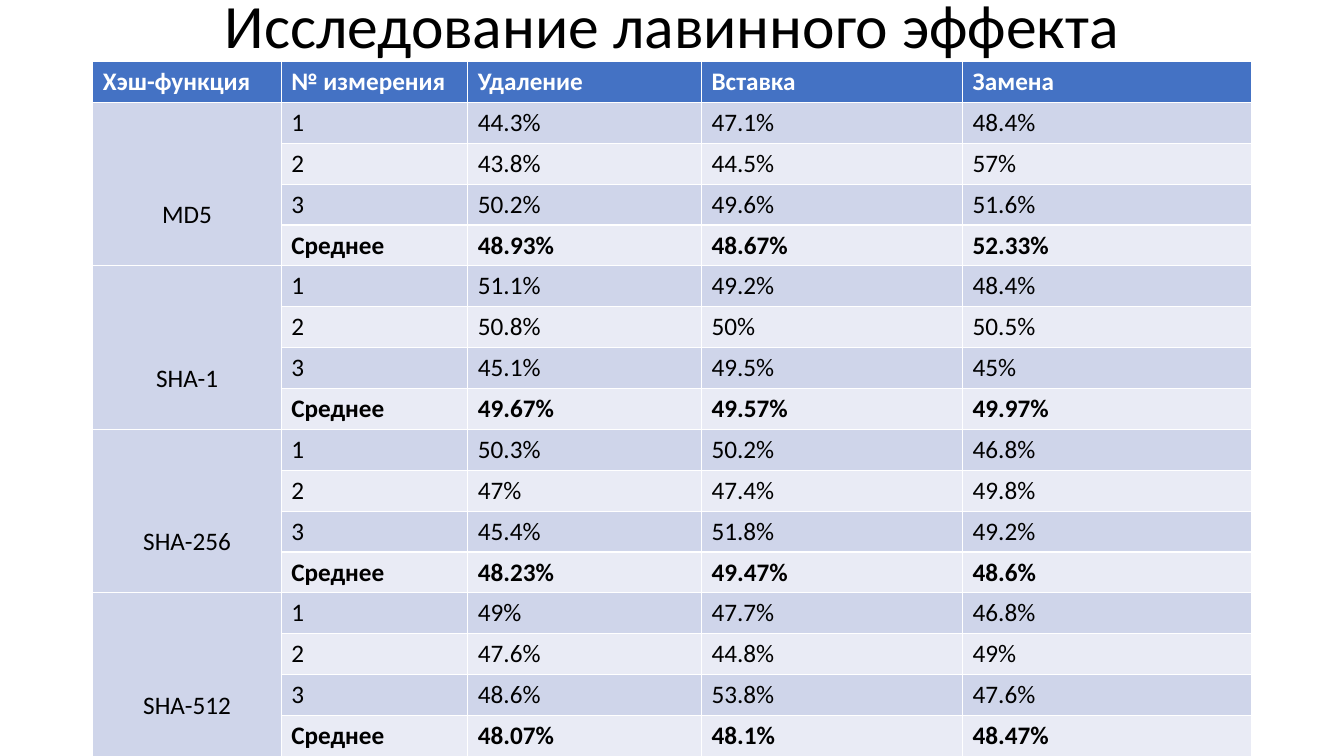
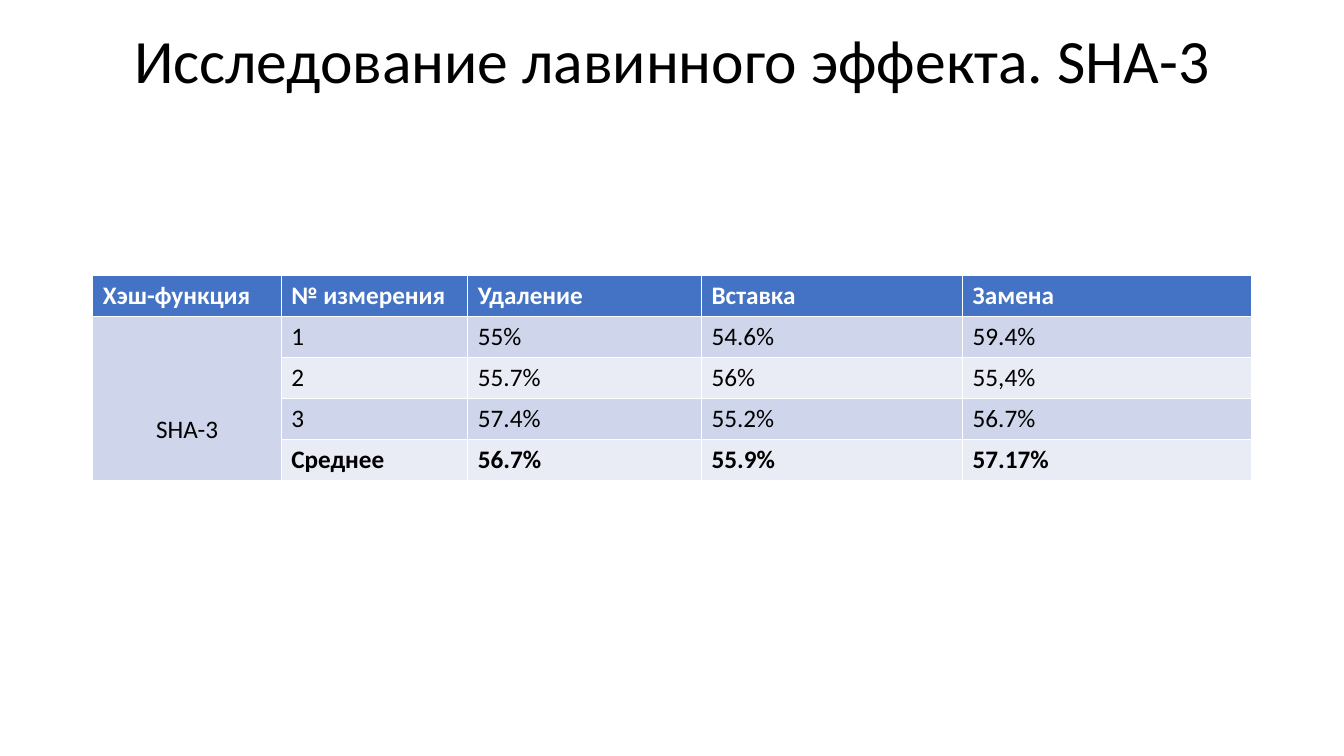
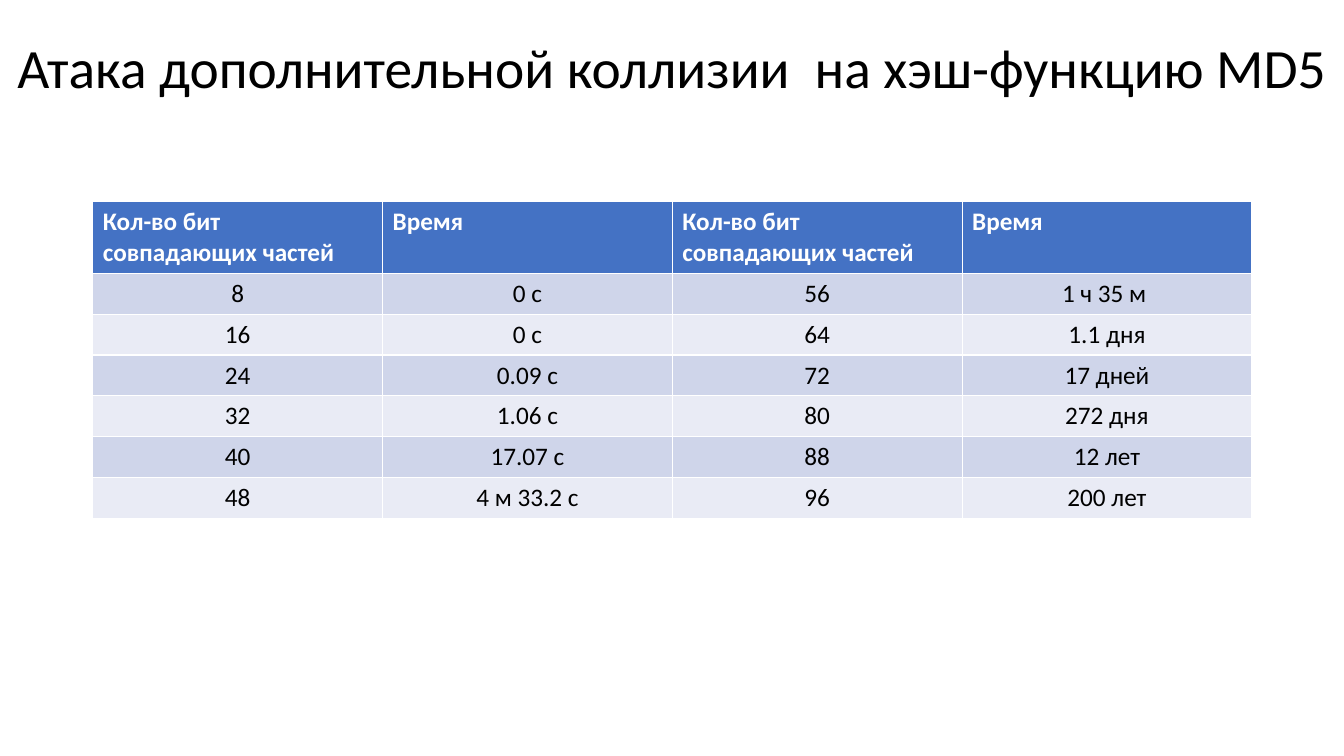
from dataclasses import dataclass

from pptx import Presentation
from pptx.dml.color import RGBColor
from pptx.enum.text import MSO_ANCHOR, MSO_AUTO_SIZE, PP_ALIGN
from pptx.util import Cm, Pt


@dataclass(frozen=True)
class Theme:
    font: str = "Calibri"
    head: RGBColor = RGBColor(0x44, 0x72, 0xC4)
    dark: RGBColor = RGBColor(0xCF, 0xD5, 0xEA)
    light: RGBColor = RGBColor(0xE9, 0xEB, 0xF5)
    white: RGBColor = RGBColor(0xFF, 0xFF, 0xFF)
    black: RGBColor = RGBColor(0, 0, 0)
    title: float = 44
    small: float = 39.6
    body: float = 18


theme = Theme()
LEFT, WIDE, ROW = 2.34, 29.21, 1.03
CENTRE = {"alignment": PP_ALIGN.CENTER}
TITLE = {**CENTRE, "line_spacing": 0.9}
GROUP = {**CENTRE, "line_spacing": 4.0, "space_before": Pt(12)}


def write(frame, text, size, color, bold=False, layout=None):
    """Fill a text frame with one paragraph; layout holds paragraph values."""
    para = frame.paragraphs[0]
    for name, value in (layout or {}).items():
        setattr(para, name, value)
    run = para.add_run()
    run.text = text
    look = {"name": theme.font, "size": Pt(size), "bold": bold}
    for name, value in look.items():
        setattr(run.font, name, value)
    run.font.color.rgb = color


# Each hash function has three measurements and their mean, as
# deletion, insertion and replacement.
HASH_HEAD = ["Хэш-функция", "№ измерения", "Удаление", "Вставка", "Замена"]
STEPS = ["1", "2", "3", "Среднее"]
HASH_COLS = [4.75, 4.7, 5.89, 6.58, 7.29]
main = {
    "MD5": ["44.3% 47.1% 48.4%", "43.8% 44.5% 57%",
            "50.2% 49.6% 51.6%", "48.93% 48.67% 52.33%"],
    "SHA-1": ["51.1% 49.2% 48.4%", "50.8% 50% 50.5%",
              "45.1% 49.5% 45%", "49.67% 49.57% 49.97%"],
    "SHA-256": ["50.3% 50.2% 46.8%", "47% 47.4% 49.8%",
                "45.4% 51.8% 49.2%", "48.23% 49.47% 48.6%"],
    "SHA-512": ["49% 47.7% 46.8%", "47.6% 44.8% 49%",
                "48.6% 53.8% 47.6%", "48.07% 48.1% 48.47%"],
}
sha3 = {
    "SHA-3": ["55% 54.6% 59.4%", "55.7% 56% 55,4%",
              "57.4% 55.2% 56.7%", "56.7% 55.9% 57.17%"],
}


def expand(groups):
    """Turn hash groups into table rows, naming each group on its first row."""
    return [
        [name if step == STEPS[0] else "", step, *line.split()]
        for name, lines in groups.items()
        for step, line in zip(STEPS, lines)
    ]


times = [
    ["8", "0 c", "56", "1 ч 35 м "],
    ["16", "0 c", "64", "1.1 дня"],
    ["24", "0.09 c", "72", "17 дней"],
    ["32", "1.06 c", "80", "272 дня"],
    ["40", "17.07 c", "88", "12 лет"],
    ["48", "4 м 33.2 с", "96", "200 лет"],
]

hashed = {"head": HASH_HEAD, "cols": HASH_COLS, "first": ROW, "grouped": True,
          "size": theme.title, "box": (LEFT, WIDE)}
pages = [
    {**hashed, "title": "Исследование лавинного эффекта",
     "rows": expand(main), "y": -0.41, "top": 1.55},
    {**hashed, "title": "Исследование лавинного эффекта. SHA-3",
     "rows": expand(sha3), "y": 0.48, "top": 6.95},
    {"title": "Атака дополнительной коллизии  на хэш-функцию MD5",
     "head": ["Кол-во бит совпадающих частей", "Время"] * 2,
     "cols": [WIDE / 4] * 4, "first": 1.8, "grouped": False,
     "size": theme.small, "box": (0, 33.87),
     "rows": times, "y": 0.64, "top": 5.08},
]

deck = Presentation()
deck.slide_width, deck.slide_height = Cm(33.87), Cm(19.05)

for page in pages:
    slide = deck.slides.add_slide(deck.slide_layouts[5])
    title = slide.shapes.title
    x, width = page["box"]
    place = {"left": x, "top": page["y"], "width": width, "height": 2.26}
    for name, value in place.items():
        setattr(title, name, Cm(value))
    frame = title.text_frame
    fit = {"word_wrap": True, "auto_size": MSO_AUTO_SIZE.NONE,
           "vertical_anchor": MSO_ANCHOR.MIDDLE}
    for name, value in fit.items():
        setattr(frame, name, value)
    write(frame, page["title"], page["size"], theme.black, layout=TITLE)

    rows, grouped = page["rows"], page["grouped"]
    high = page["first"] + ROW * len(rows)
    table = slide.shapes.add_table(
        len(rows) + 1, len(page["cols"]),
        Cm(LEFT), Cm(page["top"]), Cm(WIDE), Cm(high)).table
    for col, width in zip(table.columns, page["cols"]):
        col.width = Cm(width)
    for r, line in enumerate(table.rows):
        line.height = Cm(ROW if r else page["first"])

    for c, text in enumerate(page["head"]):
        cell = table.cell(0, c)
        cell.fill.solid()
        cell.fill.fore_color.rgb = theme.head
        write(cell.text_frame, text, theme.body, theme.white, bold=True)

    for r, row in enumerate(rows, 1):
        for c, text in enumerate(row):
            cell = table.cell(r, c)
            label = grouped and c == 0
            cell.fill.solid()
            cell.fill.fore_color.rgb = (
                theme.dark if label or r % 2 else theme.light)
            if label and text:
                cell.merge(table.cell(r + len(STEPS) - 1, c))
            if text:
                layout = GROUP if label else None if grouped else CENTRE
                mean = grouped and not label and row[1] == STEPS[-1]
                write(cell.text_frame, text, theme.body, theme.black,
                      bold=mean, layout=layout)

deck.save("out.pptx")
